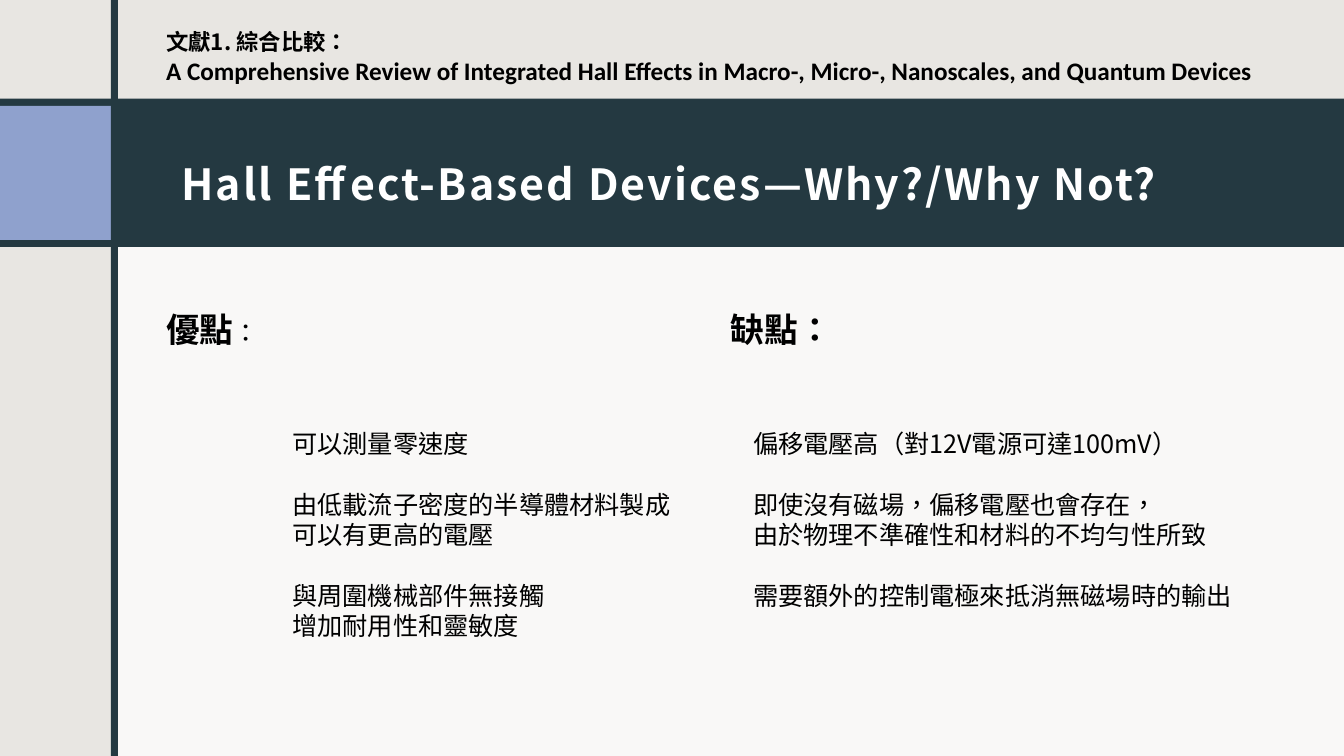
"""Build the slide on the pros and cons of Hall effect devices."""
import pptx
import pptx.dml.color
import pptx.enum.shapes
import pptx.enum.text
import pptx.util
from lxml import etree
from pptx.util import Inches

COLORS = {"sand": "E8E6E2", "white": "FFFFFF", "navy": "243941",
          "blue": "8FA1CD", "black": "000000"}
CJK = "Noto Sans CJK JP"
A = "{http://schemas.openxmlformats.org/drawingml/2006/main}"


def style(r, size, color="black", bold=False, font=CJK, lang="zh-TW"):
    r.font.size = pptx.util.Pt(size)
    r.font.bold = bold
    r.font.color.rgb = pptx.dml.color.RGBColor.from_string(COLORS[color])
    r.font.name = font
    rPr = r._r.get_or_add_rPr()
    rPr.set("lang", lang)
    etree.SubElement(rPr, A + "ea").set("typeface", font)


def add_text(x, y, w, h, lines, wrap=True):
    tf = s.shapes.add_textbox(Inches(x), Inches(y), Inches(w), Inches(h)).text_frame
    tf.word_wrap = wrap
    tf.auto_size = pptx.enum.text.MSO_AUTO_SIZE.SHAPE_TO_FIT_TEXT
    tf.text = "\n".join(lines)
    return tf


prs = pptx.Presentation()
prs.slide_width, prs.slide_height = Inches(13.33), Inches(7.5)
s = prs.slides.add_slide(prs.slide_layouts[5])
s.background.fill.solid()
s.background.fill.fore_color.rgb = pptx.dml.color.RGBColor.from_string(COLORS["sand"])

panels = [
    (1.14, 2.33, 12.19, 5.17, "white", 75),
    (0, 0.98, 13.33, 1.47, "navy", 100),
    (0, 1.05, 1.1, 1.33, "blue", 100),
    (1.1, 0, 0.07, 7.5, "navy", 100),
]
for x, y, w, h, color, opacity in panels:
    sp = s.shapes.add_shape(pptx.enum.shapes.MSO_SHAPE.RECTANGLE,
                            Inches(x), Inches(y), Inches(w), Inches(h))
    sp.shadow.inherit = False
    sp.line.fill.background()
    sp.fill.solid()
    sp.fill.fore_color.rgb = pptx.dml.color.RGBColor.from_string(COLORS[color])
    if opacity < 100:
        srgb = sp._element.spPr.find(f"{A}solidFill/{A}srgbClr")
        etree.SubElement(srgb, A + "alpha").set("val", str(opacity * 1000))

title = s.shapes.title
s.shapes._spTree.append(title._element)
title.left, title.top = Inches(1.68), Inches(1.14)
title.width, title.height = Inches(10.95), Inches(1.13)
tf = title.text_frame
tf.text = "Hall Effect-Based Devices—Why?/Why Not?"
tf.word_wrap = True
tf.auto_size = pptx.enum.text.MSO_AUTO_SIZE.NONE
tf.vertical_anchor = pptx.enum.text.MSO_ANCHOR.MIDDLE
tf.margin_left = tf.margin_top = tf.margin_right = Inches(0.12)
tf.margin_bottom = Inches(0.1)
p = tf.paragraphs[0]
p.alignment = pptx.enum.text.PP_ALIGN.LEFT
p.line_spacing = 1.4
p.space_after = pptx.util.Pt(6)
style(p.runs[0], 30.6, "white", True, lang="en-US")
p.runs[0]._r.get_or_add_rPr().set("spc", "150")

tf = add_text(1.55, 0.23, 11.37, 0.67, [])
p = tf.paragraphs[0]
p.text = ("文獻1. 綜合比較：\vA Comprehensive Review of Integrated Hall Effects "
          "in Macro-, Micro-, Nanoscales, and Quantum Devices")
style(p.runs[0], 16, bold=True)
style(p.runs[1], 18, bold=True, font="Calibri", lang="en-US")

p = add_text(1.55, 3.02, 1.04, 0.5, ["優點"]).paragraphs[0]
style(p.runs[0], 24, bold=True)
r = p.add_run()
r.text = "："
style(r, 18)

p = add_text(7.15, 3.02, 1.21, 0.5, ["缺點："], wrap=False).paragraphs[0]
style(p.runs[0], 24, bold=True)

columns = [
    (2.8, 3.99, 2.52, False, [
        ["可以測量零速度"],
        ["由低載流子密度的半導體材料製成", "可以有更高的電壓"],
        ["與周圍機械部件無接觸", "增加耐用性和靈敏度"]]),
    (7.37, 5.15, 1.92, True, [
        ["偏移電壓高（對12V電源可達100mV）"],
        ["即使沒有磁場，偏移電壓也會存在，", "由於物理不準確性和材料的不均勻性所致"],
        ["需要額外的控制電極來抵消無磁場時的輸出"]]),
]
for x, w, h, wrap, points in columns:
    tf = add_text(x, 4.2, w, h, [line for point in points for line in point], wrap)
    starts = [point[0] for point in points[1:]]
    for p in tf.paragraphs:
        if p.text in starts:
            p.space_before = pptx.util.Pt(21.7)
        style(p.runs[0], 18)

prs.save("out.pptx")
